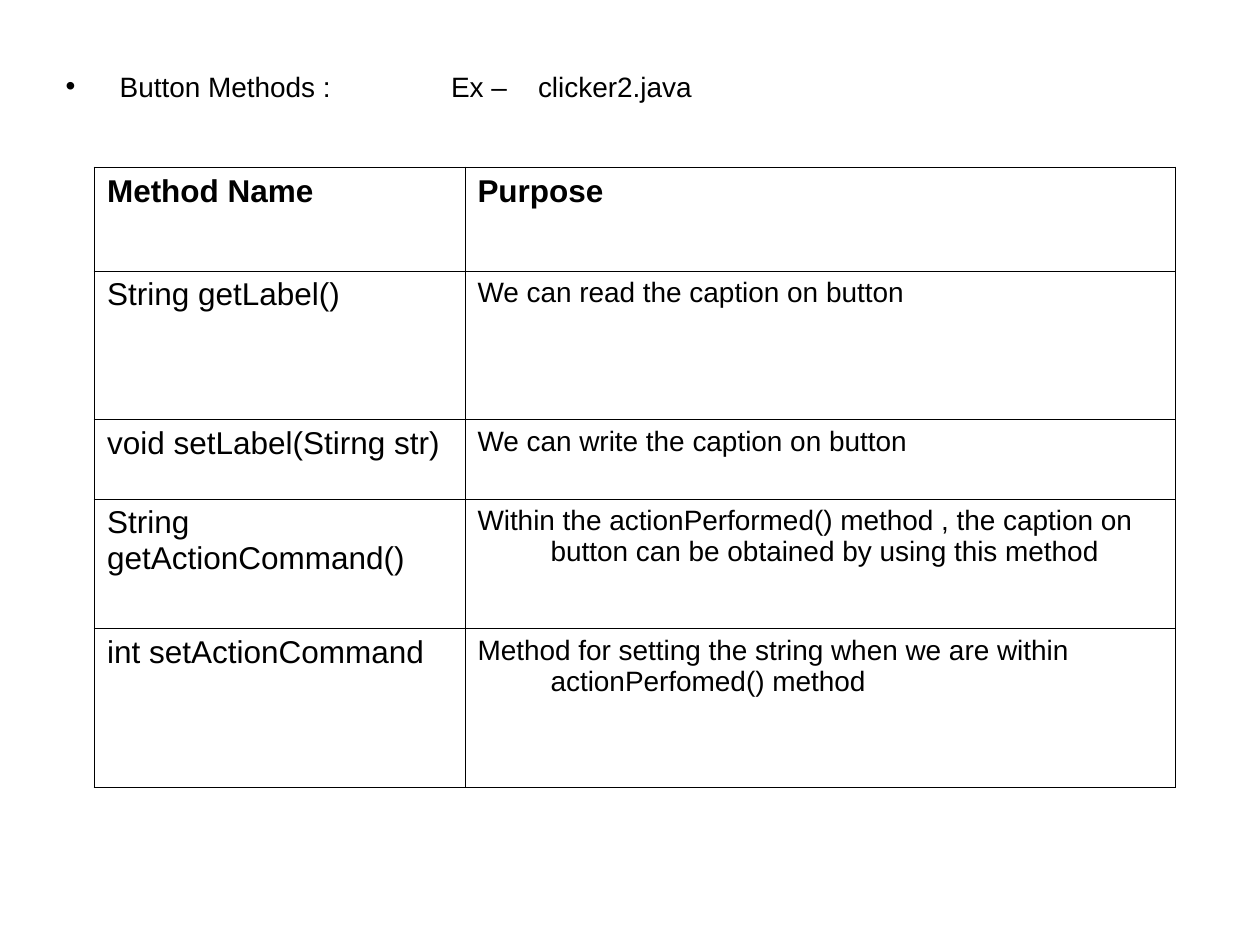
from dataclasses import dataclass

import lxml.etree
import pptx
import pptx.dml.color
import pptx.enum.text
import pptx.oxml.ns
import pptx.util
from pptx.util import Inches

BLACK = pptx.dml.color.RGBColor(0x00, 0x00, 0x00)
FONT = "Arial"
INNER_LINE = 0.45
OUTER_LINE = 1.08
COLUMN_WIDTHS = (2.94, 5.64)
HEADINGS = ("Method Name", "Purpose")
HEADING_HEIGHT = 0.82


@dataclass(frozen=True)
class Method:
    name: str
    purpose: str
    height: float


METHODS = (
    Method("String getLabel()", "We can read the caption on button", 1.18),
    Method("void setLabel(Stirng str)", "We can write the caption on button", 0.63),
    Method(
        "String getActionCommand()",
        "Within the actionPerformed() method , the caption on button "
        "can be obtained by using this method",
        1.03,
    ),
    Method(
        "int setActionCommand",
        "Method for setting the string when we are within actionPerfomed() method",
        1.26,
    ),
)


def add_element(parent, tag: str, **attributes: str):
    return lxml.etree.SubElement(parent, pptx.oxml.ns.qn(tag), attributes)


def set_hanging_indent(para, length: float) -> None:
    properties = para._p.get_or_add_pPr()
    properties.set("marL", str(Inches(length)))
    properties.set("indent", str(-Inches(length)))


def set_font(para, size: int, bold: bool = False) -> None:
    para.space_before = pptx.util.Pt(0)
    para.font.name = FONT
    para.font.size = pptx.util.Pt(size)
    para.font.bold = bold
    para.font.color.rgb = BLACK


def add_border(cell, tag: str, width: float) -> None:
    line = add_element(cell._tc.get_or_add_tcPr(), tag, w=str(pptx.util.Pt(width)))
    fill = add_element(line, "a:solidFill")
    add_element(fill, "a:srgbClr", val=str(BLACK))


def fill_cell(table, row: int, column: int, text: str) -> None:
    cell = table.cell(row, column)
    last_row = len(table.rows) - 1
    last_column = len(table.columns) - 1
    edges = {
        "a:lnL": column == 0,
        "a:lnR": column == last_column,
        "a:lnT": row == 0,
        "a:lnB": row == last_row,
    }
    for tag, is_outer in edges.items():
        add_border(cell, tag, OUTER_LINE if is_outer else INNER_LINE)
    cell.fill.background()
    cell.text = text
    para = cell.text_frame.paragraphs[0]
    is_purpose = row > 0 and column == 1
    if is_purpose:
        set_hanging_indent(para, 0.58)
    set_font(para, 16 if is_purpose else 18, bold=row == 0)


def add_heading(page) -> None:
    box = page.placeholders[1]
    box.left, box.top = Inches(0.42), Inches(0.5)
    box.width, box.height = Inches(8.67), Inches(0.67)
    box.text_frame.auto_size = pptx.enum.text.MSO_AUTO_SIZE.NONE
    para = box.text_frame.paragraphs[0]
    para.text = "Button Methods :\tEx –\tclicker2.java"
    set_hanging_indent(para, 0.43)
    properties = para._p.get_or_add_pPr()
    add_element(properties, "a:buChar", char="•")
    tabs = add_element(properties, "a:tabLst")
    for position in (3.06, 3.75):
        add_element(tabs, "a:tab", pos=str(Inches(position)), algn="l")
    set_font(para, 16)


def add_method_table(page) -> None:
    rows = [HEADINGS] + [(method.name, method.purpose) for method in METHODS]
    heights = [HEADING_HEIGHT] + [method.height for method in METHODS]
    table = page.shapes.add_table(
        len(rows), len(COLUMN_WIDTHS), Inches(0.75), Inches(1.33),
        Inches(sum(COLUMN_WIDTHS)), Inches(sum(heights)),
    ).table
    table.first_row = False
    table.horz_banding = False
    for column, width in zip(table.columns, COLUMN_WIDTHS):
        column.width = Inches(width)
    for row, (texts, height) in enumerate(zip(rows, heights)):
        table.rows[row].height = Inches(height)
        for column, text in enumerate(texts):
            fill_cell(table, row, column, text)


def main() -> None:
    deck = pptx.Presentation()
    deck.slide_width, deck.slide_height = Inches(10), Inches(7.5)
    page = deck.slides.add_slide(deck.slide_layouts[1])
    title = page.shapes.title.element
    title.getparent().remove(title)
    add_heading(page)
    add_method_table(page)
    deck.save("out.pptx")


if __name__ == "__main__":
    main()
